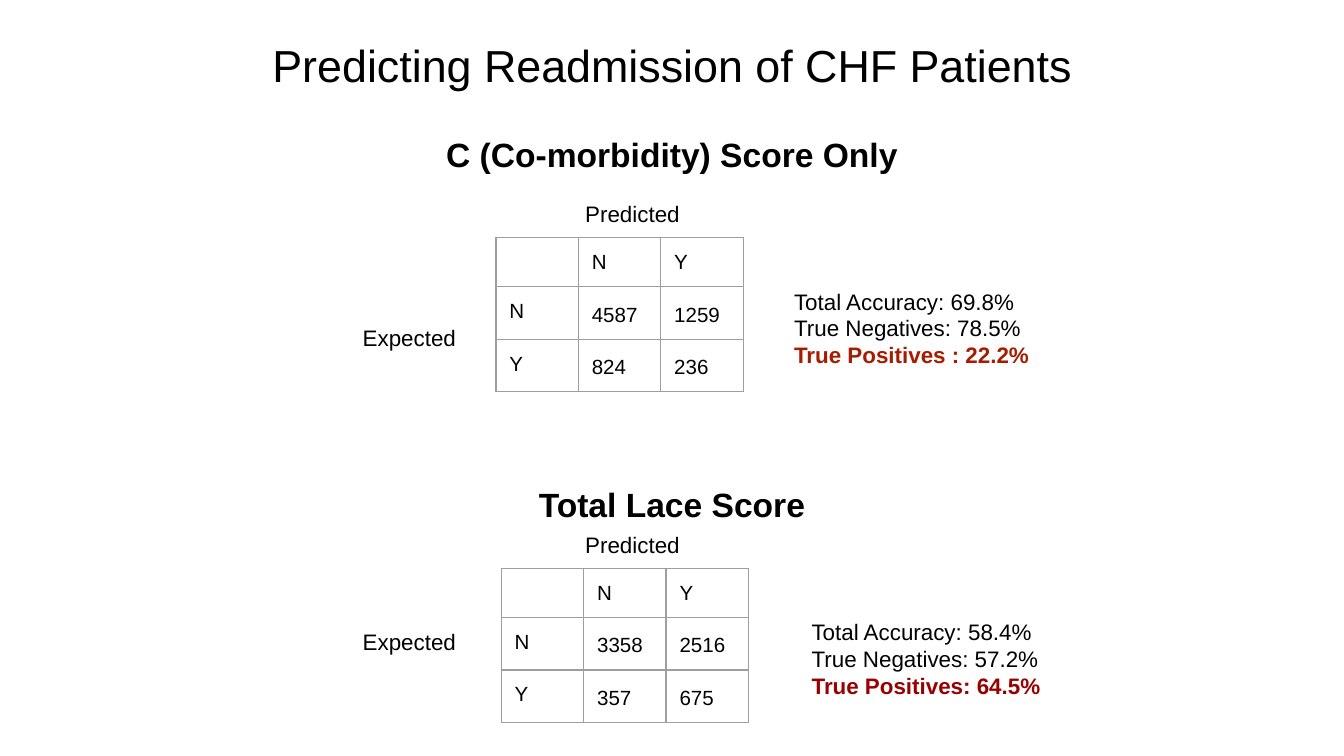
from dataclasses import dataclass

from lxml import etree
from pptx import Presentation
from pptx.dml import color as dml
from pptx.enum import text
from pptx.oxml import ns
from pptx.util import Inches, Pt


@dataclass(frozen=True)
class Theme:
    font: str = "Arial"
    ink: str = "000000"
    rule: str = "9E9E9E"
    rust: str = "A61C00"
    red: str = "990000"
    title: int = 24
    head: int = 18
    body: int = 12
    cell: int = 11
    pad: float = 0.1
    lead: float = 1.15


THEME = Theme()


# Text
def write(para, words, size=THEME.body, color=THEME.ink, bold=False,
          align=text.PP_ALIGN.LEFT, lead=None, before=0):
    para.alignment = align
    para.space_before = Pt(before)
    para.space_after = Pt(0)
    if lead:
        para.line_spacing = lead
    run = para.add_run() if words else para
    if words:
        run.text = words
    run.font.name = THEME.font
    run.font.size = Pt(size)
    run.font.bold = bold
    run.font.color.rgb = dml.RGBColor.from_string(color)


def inset(item, bottom=THEME.pad):
    for side in ("left", "right", "top"):
        setattr(item, f"margin_{side}", Inches(THEME.pad))
    item.margin_bottom = Inches(bottom)


def fill_frame(frame, lines):
    inset(frame)
    frame.word_wrap = True
    frame.vertical_anchor = text.MSO_ANCHOR.TOP
    for i, (words, style) in enumerate(lines):
        para = frame.add_paragraph() if i else frame.paragraphs[0]
        write(para, words, **style)


def add_text(slide, box, lines):
    shape = slide.shapes.add_textbox(*map(Inches, box))
    fill_frame(shape.text_frame, lines)


def add_title(slide, words):
    title = slide.shapes.title
    title.left, title.top, title.width, title.height = map(
        Inches, (0.34, 0.18, 9.32, 0.59))
    style = dict(size=THEME.title, align=text.PP_ALIGN.CENTER)
    fill_frame(title.text_frame, [(words, style)])


# Confusion matrix
def rule_cell(cell):
    props = cell._tc.get_or_add_tcPr()
    for side in ("lnL", "lnR", "lnT", "lnB"):
        line = etree.SubElement(props, ns.qn(f"a:{side}"), w=str(Pt(0.75)))
        fill = etree.SubElement(line, ns.qn("a:solidFill"))
        etree.SubElement(fill, ns.qn("a:srgbClr"), val=THEME.rule)


def add_matrix(slide, left, top, counts):
    rows = [("", "N", "Y"), ("N", *counts[0]), ("Y", *counts[1])]
    frame = slide.shapes.add_table(3, 3, *map(Inches, (left, top, 1.84, 1.12)))
    table = frame.table
    table.first_row = table.horz_banding = False
    for row, height in zip(table.rows, (0.36, 0.38, 0.38)):
        row.height = Inches(height)
    for r, row in enumerate(rows):
        for c, value in enumerate(row):
            cell = table.cell(r, c)
            inset(cell, bottom=0.08)
            lead = THEME.lead if r and c else None
            write(cell.text_frame.paragraphs[0], str(value),
                  size=THEME.cell, lead=lead)
            rule_cell(cell)
            cell.fill.background()


# One score: matrix, axis labels and rates
def add_score(slide, top, left, side, rates, counts, lines, accent):
    add_matrix(slide, left, top, counts)
    add_text(slide, (4.21, top - 0.38, 1.04, 0.38), [(" Predicted", {})])
    add_text(slide, (2.6, side, 0.91, 0.38), [("Expected", {})])
    styles = ({}, {}, dict(color=accent, bold=True))
    add_text(slide, (rates, top + 0.27, 2.29, 0.79), list(zip(lines, styles)))


def main():
    deck = Presentation()
    deck.slide_width = Inches(10)
    deck.slide_height = deck.slide_width * 9 // 16
    slide = deck.slides.add_slide(deck.slide_layouts[5])
    add_title(slide, "Predicting Readmission of CHF Patients")

    # Score headings
    head = dict(size=THEME.head, bold=True, lead=THEME.lead,
                align=text.PP_ALIGN.CENTER)
    add_text(slide, (0.34, 0.85, 9.32, 4.65), [
        ("C (Co-morbidity) Score Only", head),
        ("Total Lace Score", dict(head, before=163))])

    # Score results
    add_score(slide, 1.77, 3.69, 2.31, 5.81, ((4587, 1259), (824, 236)),
              ("Total Accuracy: 69.8%", "True Negatives: 78.5%",
               "True Positives : 22.2%"), THEME.rust)
    add_score(slide, 4.23, 3.73, 4.57, 5.94, ((3358, 2516), (357, 675)),
              ("Total Accuracy: 58.4%", "True Negatives: 57.2%",
               "True Positives: 64.5%"), THEME.red)
    deck.save("out.pptx")


main()
